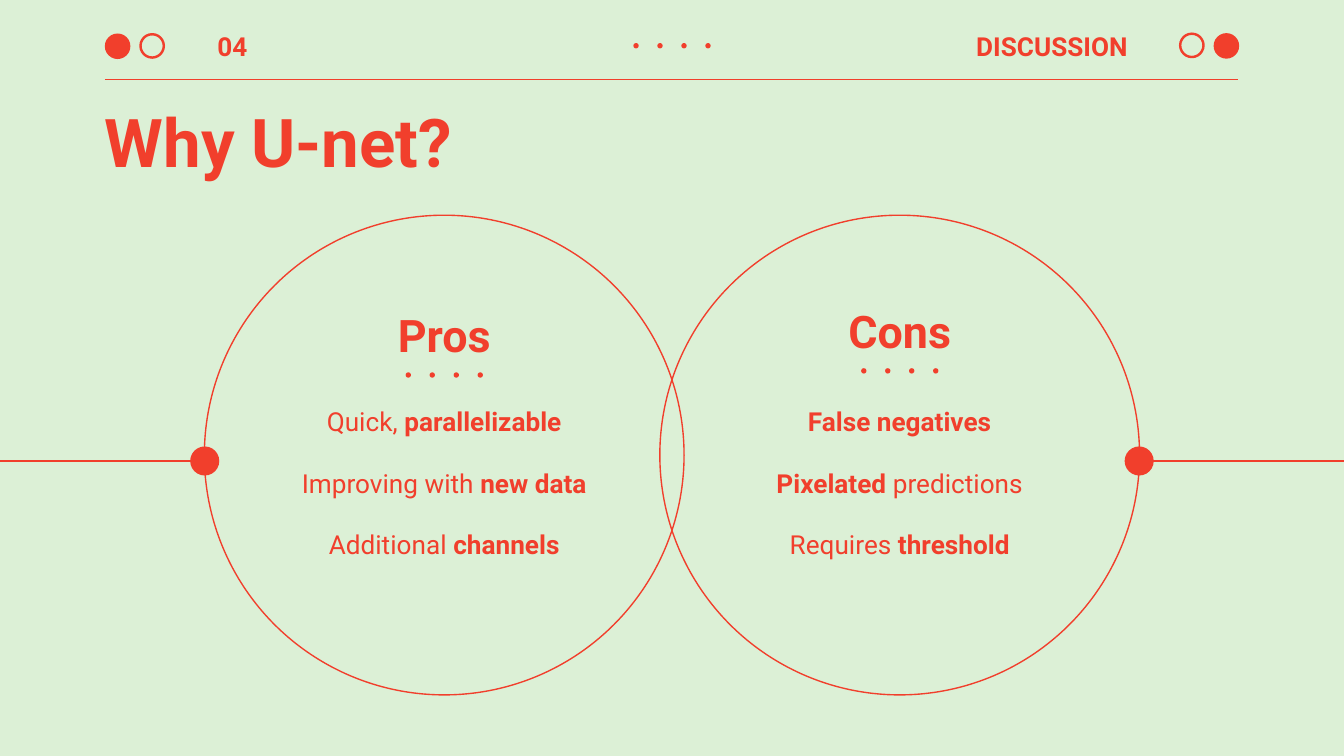
from typing import NamedTuple

from lxml.etree import SubElement
from pptx import Presentation
from pptx.dml.color import RGBColor
from pptx.enum.shapes import MSO_CONNECTOR, MSO_SHAPE
from pptx.enum.text import MSO_ANCHOR, PP_ALIGN
from pptx.oxml.ns import qn
from pptx.util import Pt

COLORS = {"ground": "DCF0D6", "red": "F13F2C"}
RED = RGBColor.from_string(COLORS["red"])
FONT = "Roboto"
WIDTH, HEIGHT = 720, 405
MID = WIDTH / 2


class Run(NamedTuple):
    text: str
    bold: bool = True


class Label(NamedTuple):
    left: float
    top: float
    width: float
    height: float
    size: float
    lines: list[list[Run]]
    align: PP_ALIGN = PP_ALIGN.CENTER
    anchor: MSO_ANCHOR = MSO_ANCHOR.TOP


class Disc(NamedTuple):
    x: float
    y: float
    size: float
    line: float = 0  # zero gives a filled disc


class Topic(NamedTuple):
    x: float
    top: float
    name: str
    lines: list[list[Run]]


def add_disc(slide, disc: Disc) -> None:
    """Draw a disc or ring around its centre."""
    half = disc.size / 2
    shape = slide.shapes.add_shape(
        MSO_SHAPE.OVAL, Pt(disc.x - half), Pt(disc.y - half), Pt(disc.size), Pt(disc.size))
    shape.shadow.inherit = False
    if disc.line:
        shape.fill.background()
        shape.line.color.rgb = RED
        shape.line.width = Pt(disc.line)
    else:
        shape.fill.solid()
        shape.fill.fore_color.rgb = RED
        shape.line.fill.background()


def add_dots(slide, x: float, y: float) -> None:
    """Draw a row of four small dots centred on x."""
    for step in range(4):
        add_disc(slide, Disc(x + (step - 1.5) * 12.85, y, 2.85))


def add_rule(slide, start: float, end: float, y: float) -> None:
    rule = slide.shapes.add_connector(MSO_CONNECTOR.STRAIGHT, Pt(start), Pt(y), Pt(end), Pt(y))
    rule.line.color.rgb = RED
    rule.line.width = Pt(0.75)
    SubElement(rule._element.spPr, qn("a:effectLst"))


def add_label(slide, label: Label) -> None:
    box = slide.shapes.add_textbox(
        Pt(label.left), Pt(label.top), Pt(label.width), Pt(label.height))
    frame = box.text_frame
    frame.word_wrap = True
    frame.vertical_anchor = label.anchor
    frame.margin_left = frame.margin_right = Pt(7.2)
    frame.margin_top = frame.margin_bottom = Pt(7.2)
    for index, line in enumerate(label.lines):
        para = frame.add_paragraph() if index else frame.paragraphs[0]
        para.alignment = label.align
        if index:
            para.space_before = Pt(16)
        for part in line:
            run = para.add_run()
            run.text = part.text
            run.font.name = FONT
            run.font.size = Pt(label.size)
            run.font.bold = part.bold
            run.font.color.rgb = RED


def add_topic(slide, topic: Topic) -> None:
    left = topic.x - 111.6
    add_label(slide, Label(left, topic.top, 223.2, 40.3, 24, [[Run(topic.name)]]))
    add_label(slide, Label(left, 210.2, 223.2, 143.3, 14, topic.lines))
    add_dots(slide, topic.x, topic.top + 43.2)


TOPICS = [
    Topic(238, 157.7, "Pros", [
        [Run("Quick, ", False), Run("parallelizable")],
        [Run("Improving with ", False), Run("new data")],
        [Run("Additional ", False), Run("channels")],
    ]),
    Topic(482, 155.5, "Cons", [
        [Run("False negatives")],
        [Run("Pixelated "), Run("predictions", False)],
        [Run("Requires ", False), Run("threshold")],
    ]),
]
LABELS = [
    Label(109.4, 11.5, 77.8, 26.6, 14, [[Run("04")]], PP_ALIGN.LEFT, MSO_ANCHOR.MIDDLE),
    Label(403.2, 11.5, 208.1, 26.6, 14, [[Run("DISCUSSION")]],
          PP_ALIGN.RIGHT, MSO_ANCHOR.MIDDLE),
    Label(49, 46.8, 614.9, 51.1, 36, [[Run("Why U-net?")]], PP_ALIGN.LEFT),
]
DISCS = [
    Disc(63, 24.8, 13.7),
    Disc(81.5, 24.6, 12.5, 1.3),
    Disc(638.5, 24.3, 12.5, 1.3),
    Disc(657, 24.6, 13.7),
    *(Disc(topic.x, 243.8, 257, 0.75) for topic in TOPICS),
    Disc(MID - 250.3, 247, 15.6),
    Disc(MID + 250.3, 247, 15.6),
]
RULES = [(56.2, 663.1, 42.5), (0, 109.4, 247), (610.6, WIDTH, 247)]


def main() -> None:
    deck = Presentation()
    deck.slide_width, deck.slide_height = Pt(WIDTH), Pt(HEIGHT)
    slide = deck.slides.add_slide(deck.slide_layouts[6])
    slide.background.fill.solid()
    slide.background.fill.fore_color.rgb = RGBColor.from_string(COLORS["ground"])
    for rule in RULES:
        add_rule(slide, *rule)
    for disc in DISCS:
        add_disc(slide, disc)
    add_dots(slide, MID, 24.5)
    for label in LABELS:
        add_label(slide, label)
    for topic in TOPICS:
        add_topic(slide, topic)
    deck.save("out.pptx")


if __name__ == "__main__":
    main()
